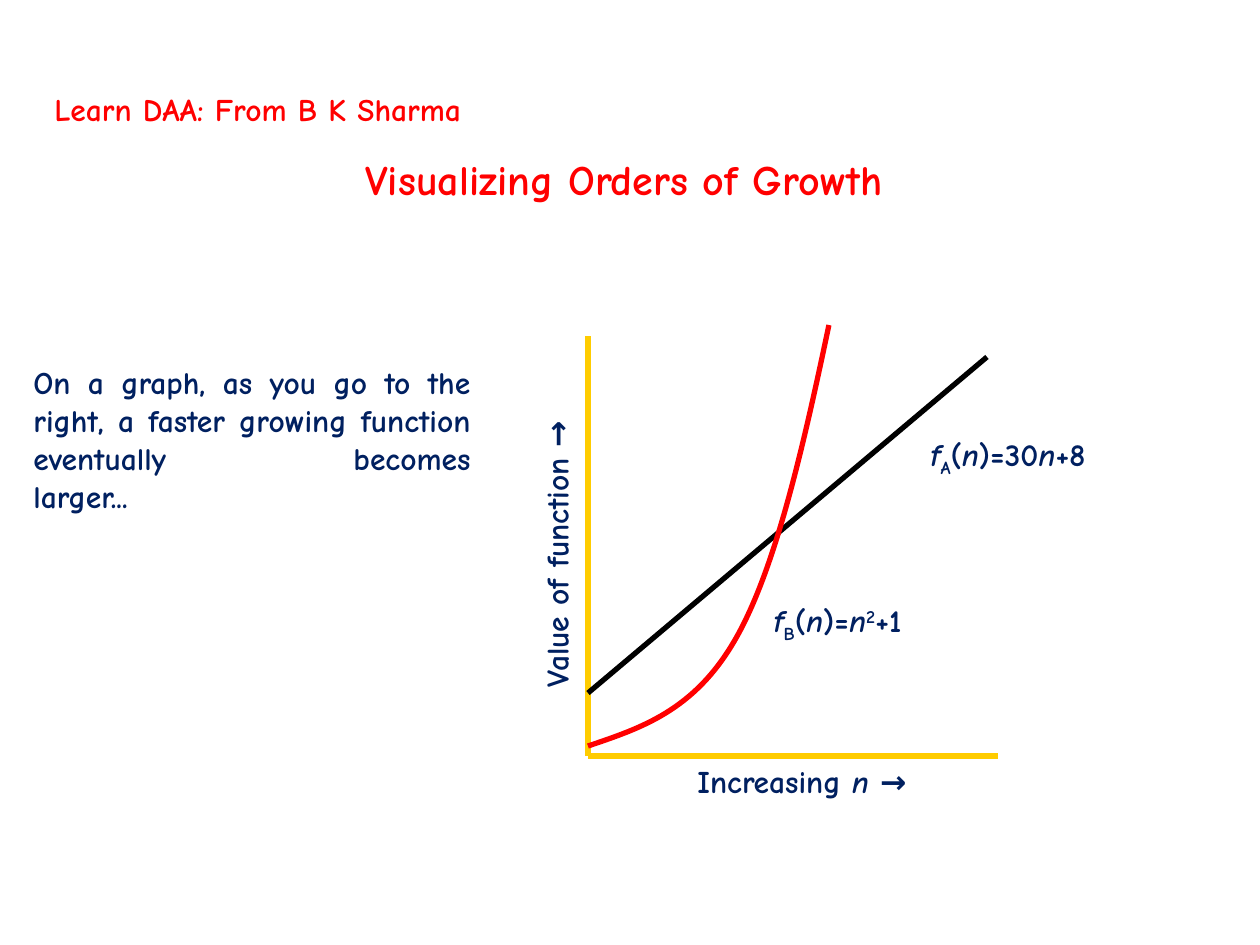
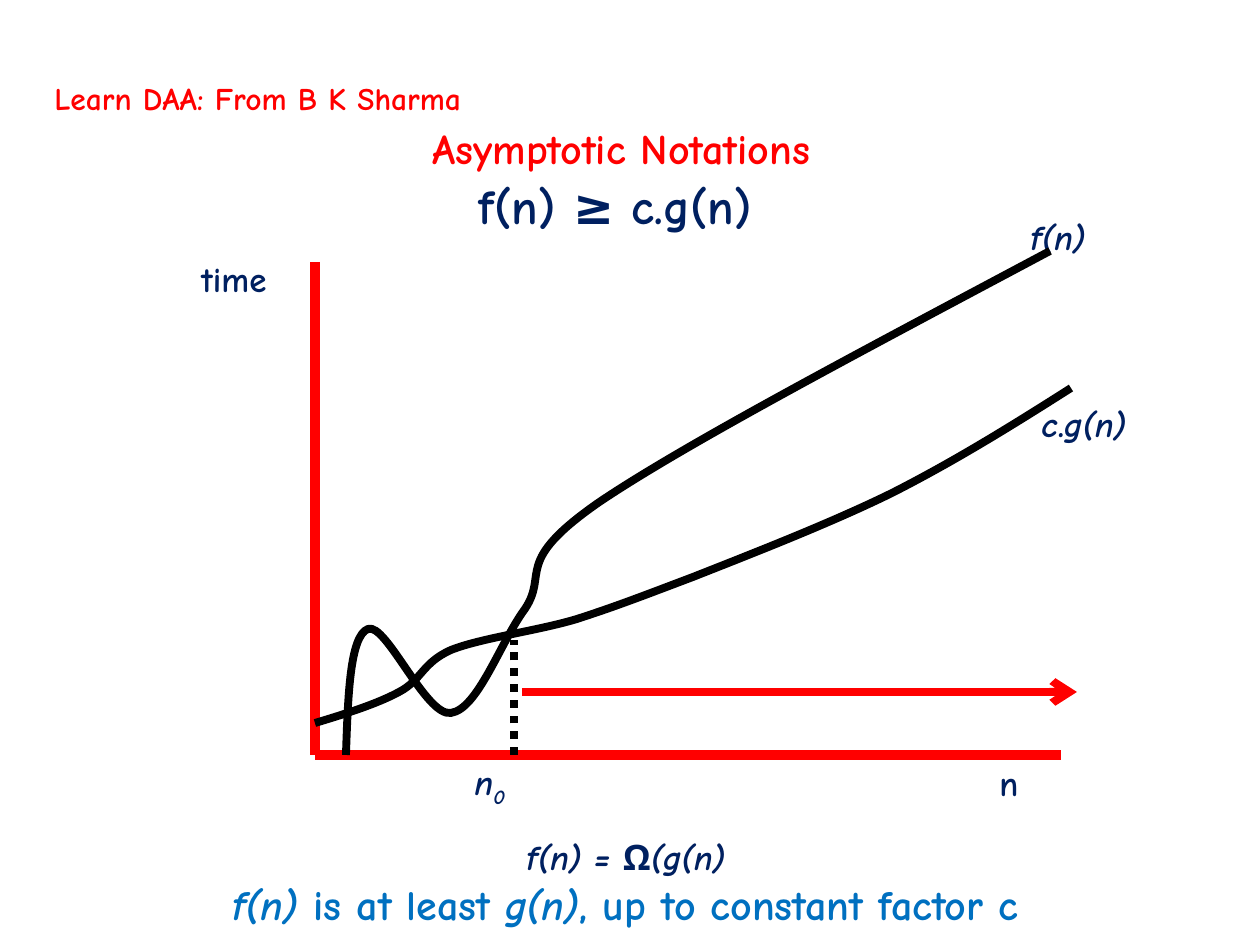
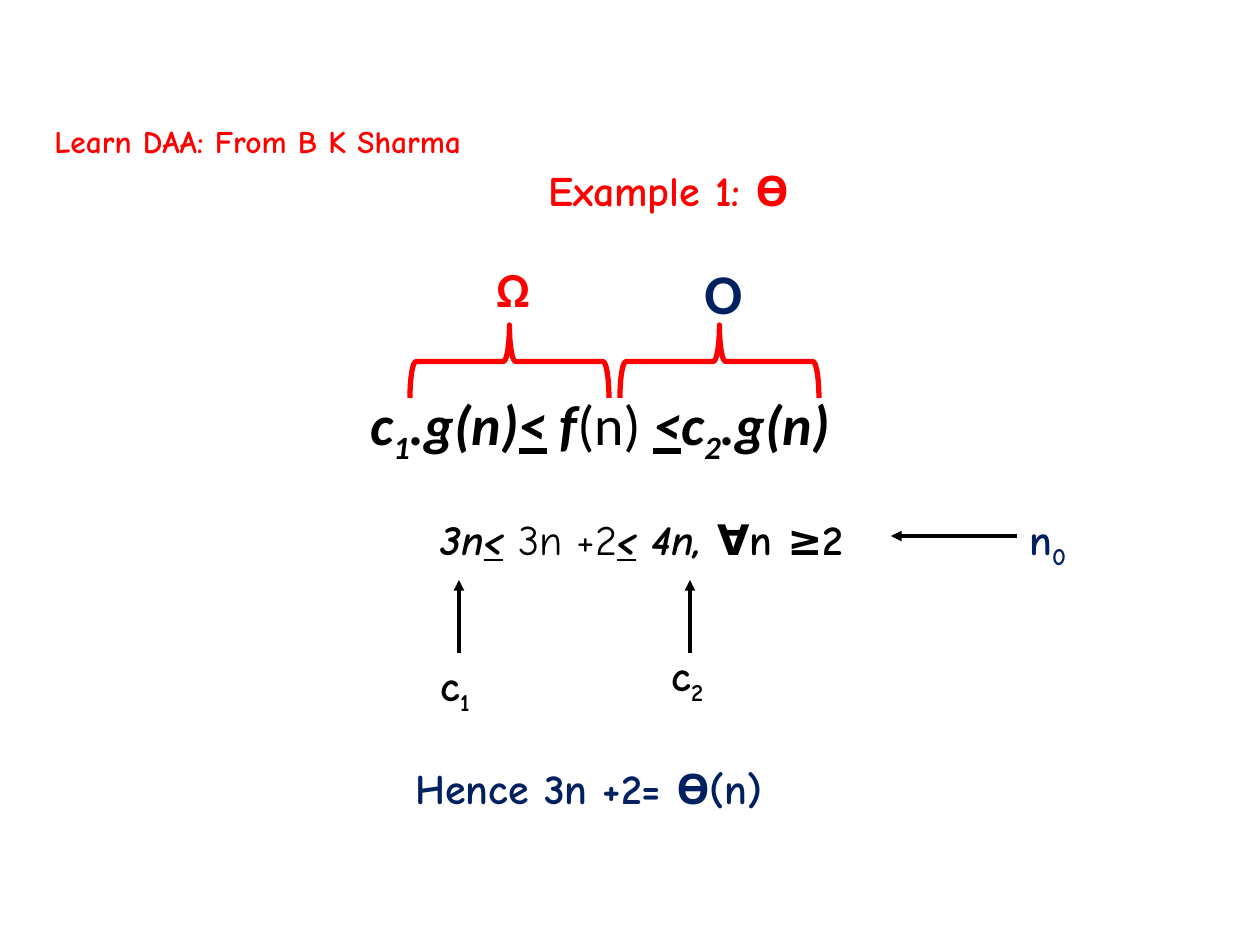
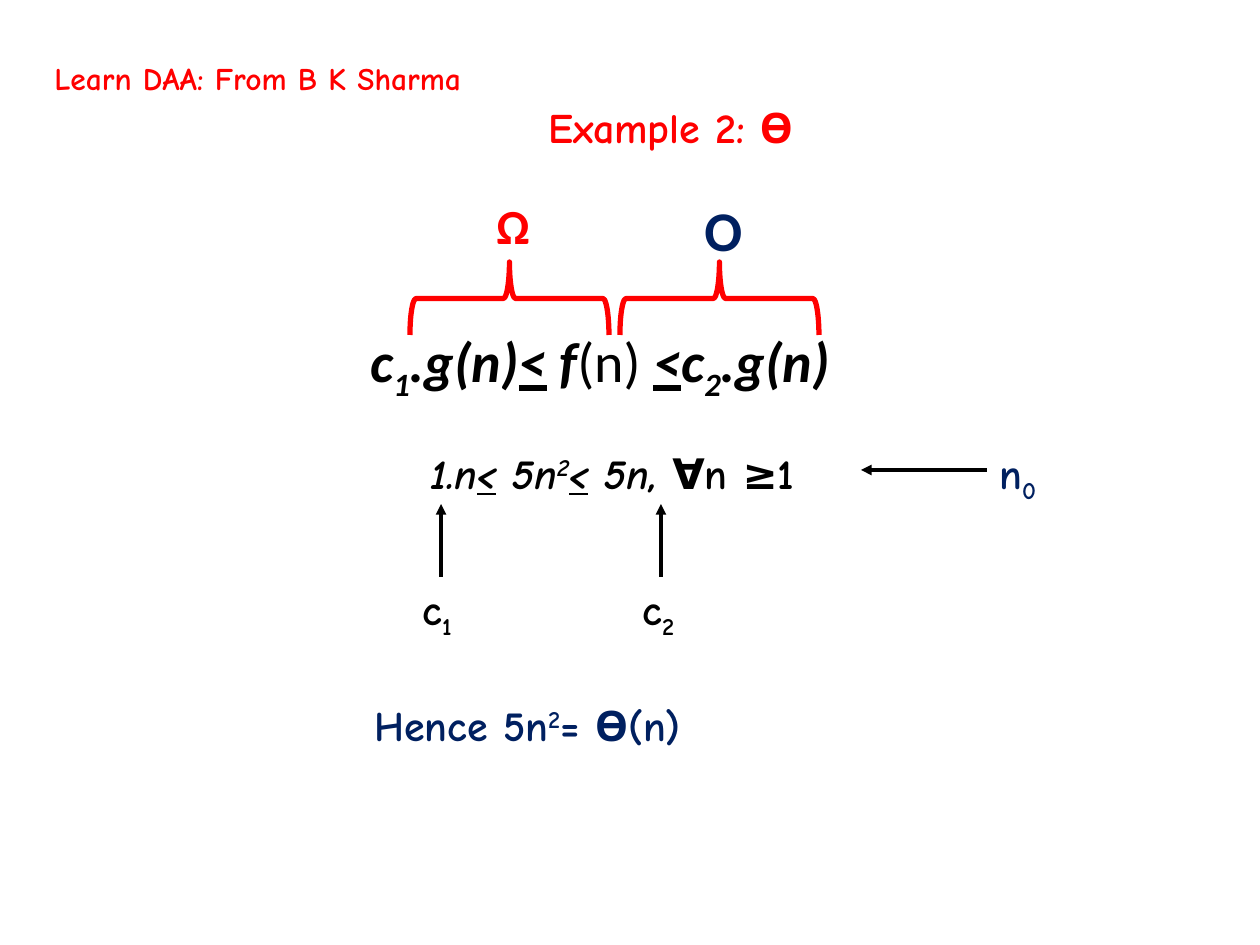
"""Build four slides on growth rates and asymptotic notation."""
import itertools

import pptx
import pptx.dml.color
import pptx.enum.dml
import pptx.enum.shapes
import pptx.enum.text
import pptx.oxml
import pptx.oxml.ns
import pptx.util

RED = pptx.dml.color.RGBColor(0xFF, 0x00, 0x00)
NAVY = pptx.dml.color.RGBColor(0x00, 0x20, 0x60)
BLUE = pptx.dml.color.RGBColor(0x00, 0x70, 0xC0)
GOLD = pptx.dml.color.RGBColor(0xFF, 0xCC, 0x00)
BLACK = pptx.dml.color.RGBColor(0x00, 0x00, 0x00)
WHITE = pptx.dml.color.RGBColor(0xFF, 0xFF, 0xFF)

COMIC = "Comic Neue"
CALIBRI = "Calibri"
PIXEL = 914400 / 126
ALIGN = pptx.enum.text.PP_ALIGN
ANCHOR = pptx.enum.text.MSO_ANCHOR
SHAPE = pptx.enum.shapes.MSO_SHAPE

TAGLINE = "Learn DAA: From B K Sharma"

# Run marks: i italic, u underlined, n not bold, - subscript, + superscript.
GROWTH_AXES = [((588, 756), (588, 336)), ((588, 756), (998, 756))]
GROWTH_LINE = ((588, 693), (987, 357))
GROWTH_CURVE = [(588, 746), (641, 728), (694, 711), (735, 640),
                (775, 571), (803, 449), (829, 325)]
GROWTH_LABELS = [
    ((903, 432, 210, 50), 0, [("f", "i"), ("A", "-"), ("(", ""), ("n", "i"),
                              (")=30", ""), ("n", "i"), ("+8", "")]),
    ((672, 756, 260, 50), 0, [("Increasing ", ""), ("n ", "i"), ("→", "")]),
    ((746, 598, 183, 50), 0, [("f", "i"), ("B", "-"), ("(", ""), ("n", "i"),
                              (")=", ""), ("n", "i"), ("2", "+"), ("+1", "")]),
    ((388, 529, 336, 50), 270, "Value of function →"),
]
GROWTH_NOTE = ("On a graph, as you go to the right, a faster growing function "
               "eventually becomes\nlarger...")

OMEGA_AXES = [((315, 262), (315, 755)), ((315, 755), (1061, 755))]
OMEGA_CURVES = [
    [(315, 723), (345, 714), (377, 704), (399, 692), (422, 680), (422, 663),
     (451, 650), (481, 638), (537, 631), (577, 619), (617, 606), (640, 597),
     (693, 577), (746, 556), (829, 524), (892, 493), (955, 461), (1013, 425),
     (1071, 388)],
    [(346, 755), (348, 696), (350, 636), (368, 629), (386, 622), (426, 717),
     (451, 713), (478, 709), (500, 643), (525, 609), (549, 573), (512, 563),
     (598, 503), (685, 444), (868, 348), (1050, 251)],
]
OMEGA_LABELS = [
    ((189, 251, 105, 54), "time"),
    ((987, 755, 105, 54), "n"),
    ((462, 754, 105, 54), [("n", "i"), ("0", "i-")]),
    ((1029, 396, 136, 54), [("c", "i"), (".", ""), ("g(n)", "i")]),
    ((1018, 209, 136, 54), [("f(n)", "i")]),
    ((514, 829, 315, 54), [("f(n) = ", "i"), ("Ω", ""), ("(g(n)", "i")]),
]
OMEGA_SUMMARY = [("f(n)", "i"), (" is at least ", ""), ("g(n)", "i"),
                 (", up to constant factor c", "")]

SANDWICH = [("c", "i"), ("1", "i-"), (".g(n)", "i"), ("<", "iu"), (" f", "i"),
            ("(n) ", "n"), ("<", "iu"), ("c", "i"), ("2", "i-"), (".g(n)", "i")]
EXAMPLES = [
    {"title": "Example 1: Ө", "top": 116,
     "claim": [("3n", "i"), ("<", "iu"), (" ", "i"), ("3n +2", "n"),
               ("<", "iu"), (" 4n, ", "i"), ("∀n ≥2", "")],
     "claim_at": (428, 507, 476, 63), "n0_left": 1017, "arrow_foot": 653,
     "constants": [("1", 428, 653), ("2", 659, 643)],
     "result": "Hence 3n +2= Ө(n)", "result_left": 403, "result_width": 416},
    {"title": "Example 2: Ө", "top": 53,
     "claim": [("1.n", "i"), ("<", "iu"), (" 5n", "i"), ("2", "i+"),
               ("<", "iu"), (" 5n, ", "i"), ("∀n ≥1", "")],
     "claim_at": (418, 441, 454, 63), "n0_left": 987, "arrow_foot": 577,
     "constants": [("1", 410, 577), ("2", 630, 577)],
     "result": [("Hence 5n", ""), ("2", "+"), ("= Ө(n)", "")],
     "result_left": 362, "result_width": 363},
]


def emu(*pixels):
    return [pptx.util.Emu(round(value * PIXEL)) for value in pixels]


def style_run(run, marks, size, color, font):
    run.font.name = font
    run.font.size = pptx.util.Pt(size)
    run.font.color.rgb = color
    run.font.bold = "n" not in marks
    run.font.italic = "i" in marks
    run.font.underline = "u" in marks
    for mark, offset in (("-", "-25000"), ("+", "30000")):
        if mark in marks:
            run.font._element.set("baseline", offset)


def add_text(page, at, spans, size, color, font=COMIC, align=ALIGN.LEFT,
             anchor=ANCHOR.TOP, wrap=False, fill=None):
    if fill is None:
        box = page.shapes.add_textbox(*emu(*at))
    else:
        box = page.shapes.add_shape(SHAPE.RECTANGLE, *emu(*at))
        box.shadow.inherit = False
        box.fill.solid()
        box.fill.fore_color.rgb = fill
        box.line.fill.background()
    frame = box.text_frame
    frame.word_wrap = wrap
    frame.auto_size = pptx.enum.text.MSO_AUTO_SIZE.SHAPE_TO_FIT_TEXT
    frame.vertical_anchor = anchor
    para = frame.paragraphs[0]
    para.alignment = align
    for text, marks in [(spans, "")] if isinstance(spans, str) else spans:
        for index, piece in enumerate(text.split("\n")):
            if index:
                para.add_line_break()
            run = para.add_run()
            run.text = piece
            style_run(run, marks, size, color, font)
    return box


def add_line(page, start, end, color, width, head=None, dash=None):
    line = page.shapes.add_connector(
        pptx.enum.shapes.MSO_CONNECTOR.STRAIGHT, *emu(*start, *end))
    line.line.color.rgb = color
    line.line.width = pptx.util.Pt(width)
    if dash:
        line.line.dash_style = dash
    if head:
        outline = line.line._get_or_add_ln()
        outline.append(pptx.oxml.parse_xml(
            f'<a:tailEnd {pptx.oxml.ns.nsdecls("a")} type="{head}"/>'))
    line._element.spPr.append(pptx.oxml.parse_xml(
        f'<a:effectLst {pptx.oxml.ns.nsdecls("a")}/>'))


def outline_only(shape, color, width):
    shape.shadow.inherit = False
    shape.fill.background()
    shape.line.color.rgb = color
    shape.line.width = pptx.util.Pt(width)


def add_curve(page, points, color, width):
    builder = page.shapes.build_freeform(*points[0], scale=PIXEL)
    builder.add_line_segments(points[1:], close=False)
    curve = builder.convert_to_shape()
    segments = list(curve._element.iter(pptx.oxml.ns.qn("a:lnTo")))
    for first in range(0, len(segments), 3):
        bezier = pptx.oxml.parse_xml(
            f'<a:cubicBezTo {pptx.oxml.ns.nsdecls("a")}/>')
        segments[first].addprevious(bezier)
        for segment in segments[first:first + 3]:
            bezier.append(segment[0])
            segment.getparent().remove(segment)
    outline_only(curve, color, width)


def add_page(deck, title, title_at, tagline_top):
    page = deck.slides.add_slide(deck.slide_layouts[6])
    add_text(page, title_at, title, 24, RED)
    add_text(page, (42, tagline_top, 493, 50), TAGLINE, 18, RED)
    return page


def add_growth_page(deck):
    page = add_page(deck, "Visualizing Orders of Growth", (353, 147, 622, 63), 84)
    for start, end in GROWTH_AXES:
        add_line(page, start, end, GOLD, 3)
    add_line(page, *GROWTH_LINE, BLACK, 3)
    add_curve(page, GROWTH_CURVE, RED, 3)
    for at, rotation, spans in GROWTH_LABELS:
        box = add_text(page, at, spans, 18, NAVY, align=ALIGN.CENTER,
                       anchor=ANCHOR.MIDDLE)
        box.rotation = rotation
    add_text(page, (21, 357, 462, 165), GROWTH_NOTE, 18, NAVY,
             align=ALIGN.JUSTIFY, wrap=True)


def add_omega_page(deck):
    page = add_page(deck, "Asymptotic Notations", (420, 116, 467, 63), 73)
    for start, end in OMEGA_AXES:
        add_line(page, start, end, RED, 6)
    add_line(page, (514, 755), (514, 640), BLACK, 4.5,
             dash=pptx.enum.dml.MSO_LINE.ROUND_DOT)
    for at, spans in OMEGA_LABELS:
        add_text(page, at, spans, 20, NAVY, wrap=True)
    for points in OMEGA_CURVES:
        add_curve(page, points, BLACK, 4.5)
    add_line(page, (522, 692), (1077, 692), RED, 4.5, head="arrow")
    add_text(page, (466, 169, 321, 72), "f(n) ≥ c.g(n)", 28, NAVY)
    add_text(page, (220, 872, 946, 63), OMEGA_SUMMARY, 24, BLUE)


def add_example_page(deck, example):
    top = example["top"]
    page = add_page(deck, example["title"], (536, top + 42, 305, 63), top)
    claim_top, n0_left = example["claim_at"][1], example["n0_left"]
    add_text(page, example["claim_at"], example["claim"], 24, BLACK)
    add_line(page, (n0_left, claim_top + 29), (n0_left - 126, claim_top + 29),
             BLACK, 2, head="triangle")
    add_text(page, (n0_left, claim_top, 66, 63), [("n", ""), ("0", "-")], 24, NAVY)
    for digit, left, label_top in example["constants"]:
        foot = example["arrow_foot"]
        add_line(page, (left + 31, foot), (left + 31, foot - 73), BLACK, 2,
                 head="triangle")
        add_text(page, (left, label_top, 64, 63), [("c", ""), (digit, "-")],
                 24, BLACK)
    add_text(page, (example["result_left"], top + 640, example["result_width"], 63),
             example["result"], 24, NAVY)
    add_text(page, (358, top + 267, 495, 81), SANDWICH, 32, BLACK, CALIBRI)
    add_text(page, (438, top + 136, 150, 72), "Ω", 28, RED, CALIBRI,
             align=ALIGN.CENTER, wrap=True)
    add_text(page, (692, top + 136, 64, 81), "O", 32, NAVY, CALIBRI, fill=WHITE)
    for left in (473, 683):
        brace = page.shapes.add_shape(SHAPE.RIGHT_BRACE,
                                      *emu(left, top + 146, 73, 199))
        brace.rotation = 270
        outline_only(brace, RED, 3)


def main():
    deck = pptx.Presentation()
    deck.slide_width, deck.slide_height = emu(1260, 945)
    add_growth_page(deck)
    add_omega_page(deck)
    for example in EXAMPLES:
        add_example_page(deck, example)
    deck.save("out.pptx")


main()
